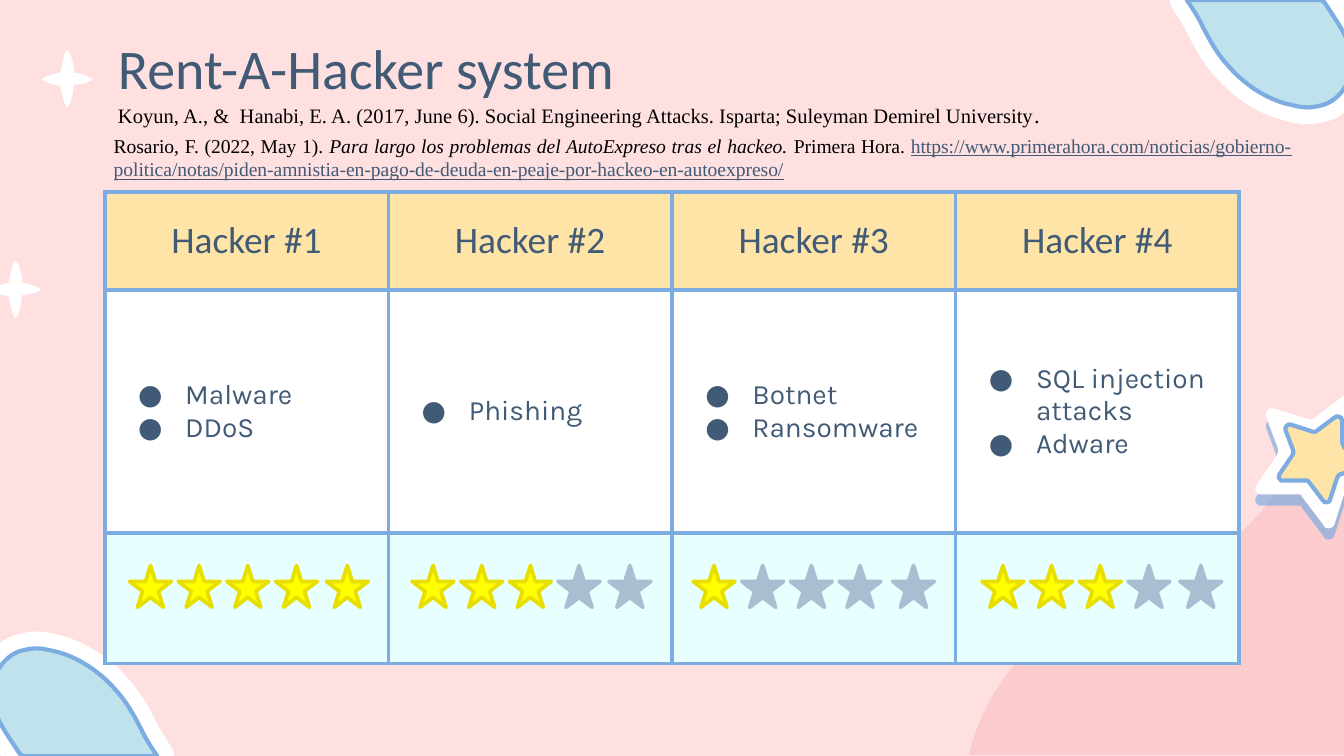
from dataclasses import dataclass
from typing import Callable

from lxml import etree
from pptx import Presentation
from pptx import util as u
from pptx.dml.color import RGBColor
from pptx.enum import shapes, text
from pptx.oxml import ns

Cm, Pt = u.Cm, u.Pt
INK, BLUE, WHITE, ICE, CREAM = "415A75", "7CACE1", "FFFFFF", "E7FFFF", "FEE4A7"
GOLD, GOLD_EDGE, GREY = "FFFF00", "E8DE00", "ABBDD0"
UNIT = 0.0254  # outline coordinates are hundredths of an inch, in cm
SLIDE_W, SLIDE_H = 1000, 562.5

# Outlines: a start point, then lines (2 numbers) and Bezier curves (6 numbers).
DROP = [(17, 562), (15, 561, 14, 560, 13, 558), (8, 550, 2, 542, -2, 533),
        (-6, 524, -7, 514, -4, 504), (-1, 495, 6, 487, 15, 484),
        (19, 483, 23, 482, 27, 482), (33, 482, 39, 484, 44, 485),
        (61, 490, 76, 501, 87, 514), (96, 524, 102, 536, 108, 548),
        (111, 553, 114, 558, 117, 562)]
HILL = [(721, 562), (730, 523, 754, 488, 787, 466), (827, 440, 877, 433, 914, 404),
        (944, 381, 962, 347, 984, 317), (989, 311, 994, 304, 1000, 298), (1000, 562)]
SOFT_STAR = [(1003, 295), (1002, 294, 1000, 294, 998, 296), (978, 311),
             (977, 312, 975, 313, 973, 312), (948, 304), (945, 303, 941, 306, 942, 310),
             (951, 334), (951, 336, 951, 338, 950, 339), (935, 361),
             (933, 363, 934, 367, 937, 368), (938, 368, 938, 368, 939, 368), (966, 368),
             (966, 368, 966, 368, 967, 368), (968, 368, 969, 369, 969, 370), (985, 391),
             (985, 392, 986, 393, 987, 393), (989, 394, 993, 392, 993, 390), (1001, 365),
             (1002, 363, 1003, 362, 1004, 361), (1029, 354),
             (1033, 352, 1034, 347, 1031, 345), (1009, 330),
             (1008, 328, 1007, 327, 1007, 325), (1007, 300), (1007, 297, 1005, 295, 1003, 295)]
SPARKLE = [(50, 38), (50, 38, 49, 38, 49, 38), (47, 43, 46, 49, 45, 54),
           (41, 55, 36, 56, 32, 58), (31, 58, 31, 60, 32, 60), (36, 62, 41, 63, 45, 64),
           (46, 69, 48, 79, 50, 80), (50, 80, 50, 80, 50, 80), (51, 80, 51, 80, 51, 79),
           (54, 75, 54, 69, 55, 63), (59, 63, 64, 62, 68, 60), (68, 60, 69, 60, 69, 59),
           (69, 59, 69, 58, 68, 58), (64, 56, 60, 55, 55, 54), (55, 49, 54, 43, 51, 38),
           (51, 38, 51, 38, 50, 38)]


@dataclass
class Hacker:
    name: str
    skills: list[str]
    rating: int
    first_star: float
    last_star: float


HACKERS = [Hacker("Hacker #1", ["Malware", "DDoS"], 5, 2.45, 6.17),
           Hacker("Hacker #2", ["Phishing"], 3, 7.79, 11.51),
           Hacker("Hacker #3", ["Botnet", "Ransomware"], 1, 13.1, 16.87),
           Hacker("Hacker #4", ["SQL injection attacks", "Adware"], 3, 18.56, 22.3)]


def rgb(value: str) -> RGBColor:
    return RGBColor.from_string(value)


def paint(shape, fill: str, line: str | None = None, width: float = 0) -> None:
    shape.shadow.inherit = False
    shape.fill.solid()
    shape.fill.fore_color.rgb = rgb(fill)
    if line:
        shape.line.color.rgb = rgb(line)
        shape.line.width = Pt(width)
    else:
        shape.line.fill.background()


def join_curves(shape, outline: list[tuple]) -> None:
    """Merge each three line steps that stand for a curve into one Bezier step."""
    steps = iter(list(shape._element.iter(ns.qn("a:lnTo"))))
    for segment in outline[1:]:
        first = next(steps)
        if len(segment) == 6:
            first.tag = ns.qn("a:cubicBezTo")
            for step in (next(steps), next(steps)):
                first.append(step[0])
                step.getparent().remove(step)


def draw_outline(slide, outline: list[tuple], fill: str, line: str | None = None,
                 width: float = 0, place: Callable = lambda x, y: (x, y)):
    """Draw a closed outline, with each point moved by place."""
    points = [tuple(Cm(v * UNIT) for v in place(*segment[i:i + 2]))
              for segment in outline for i in range(0, len(segment), 2)]
    builder = slide.shapes.build_freeform(*points[0])
    builder.add_line_segments(points[1:], close=True)
    shape = builder.convert_to_shape()
    join_curves(shape, outline)
    paint(shape, fill, line, width)
    return shape


def add_drop_shadow(shape) -> None:
    effects = shape._element.spPr.find(ns.qn("a:effectLst"))
    shadow = etree.SubElement(effects, ns.qn("a:outerShdw"), blurRad="0",
                              dist=str(Pt(6)), dir="5400000", rotWithShape="0")
    color = etree.SubElement(shadow, ns.qn("a:srgbClr"), val=BLUE)
    etree.SubElement(color, ns.qn("a:alpha"), val="67000")


def draw_background(slide) -> None:
    slide.background.fill.solid()
    slide.background.fill.fore_color.rgb = rgb("FFE0E1")
    for place in (lambda x, y: (x, y + 0.5), lambda x, y: (SLIDE_W - x, SLIDE_H - y - 0.5)):
        draw_outline(slide, DROP, ICE, WHITE, 18, place)
        draw_outline(slide, DROP, "BFE2EC", BLUE, 2.25, place)
    draw_outline(slide, HILL, "FCCBCD")
    add_drop_shadow(draw_outline(slide, SOFT_STAR, WHITE))
    draw_outline(slide, SOFT_STAR, CREAM, BLUE, 2.25,
                 lambda x, y: (983.5 + 0.65 * (x - 983.5), 342 + 0.65 * (y - 344)))
    draw_outline(slide, SPARKLE, WHITE, place=lambda x, y: (x - 38.5, y + 156.5))
    draw_outline(slide, SPARKLE, WHITE)


def add_run(paragraph, words: str, color: str, **font_format) -> None:
    run = paragraph.add_run()
    run.text = words
    run.font.color.rgb = rgb(color)
    for key, value in font_format.items():
        setattr(run.font, key, value)


def add_text(slide, left: float, top: float, width: float, height: float,
             runs: list[tuple[str, str, dict]], margin: float = 0.13, **paragraph_format) -> None:
    frame = slide.shapes.add_textbox(Cm(left), Cm(top), Cm(width), Cm(height)).text_frame
    frame.word_wrap = True
    frame.margin_top = frame.margin_bottom = Cm(margin)
    paragraph = frame.paragraphs[0]
    for key, value in paragraph_format.items():
        setattr(paragraph, key, value)
    for words, color, font_format in runs:
        add_run(paragraph, words, color, **font_format)


def add_bullet(paragraph) -> None:
    properties = paragraph._p.get_or_add_pPr()
    properties.set("marL", str(Cm(1.27)))
    properties.set("indent", str(Cm(-0.89)))
    color = etree.SubElement(properties, ns.qn("a:buClr"))
    etree.SubElement(color, ns.qn("a:srgbClr"), val=INK)
    etree.SubElement(properties, ns.qn("a:buFont"), typeface="Karla")
    etree.SubElement(properties, ns.qn("a:buChar"), char="●")


def format_cell(cell, fill: str) -> None:
    properties = cell._tc.get_or_add_tcPr()
    for side in "LRTB":
        border = etree.SubElement(properties, ns.qn(f"a:ln{side}"), w=str(Pt(2.25)))
        solid = etree.SubElement(border, ns.qn("a:solidFill"))
        etree.SubElement(solid, ns.qn("a:srgbClr"), val=BLUE)
    cell.fill.solid()
    cell.fill.fore_color.rgb = rgb(fill)
    cell.vertical_anchor = text.MSO_ANCHOR.MIDDLE
    for side in ("left", "right", "top", "bottom"):
        setattr(cell, f"margin_{side}", Cm(0.25))


def add_hacker_table(slide) -> None:
    table = slide.shapes.add_table(3, len(HACKERS), Cm(1.98), Cm(3.63), Cm(21.44), Cm(8.91)).table
    table.first_row = table.horz_banding = False
    for row, height, fill in zip(table.rows, (1.85, 4.6, 2.46), (CREAM, WHITE, ICE)):
        row.height = Cm(height)
        for cell in row.cells:
            format_cell(cell, fill)
    for column, hacker in enumerate(HACKERS):
        table.columns[column].width = Cm(5.36)
        heading = table.cell(0, column).text_frame.paragraphs[0]
        heading.alignment = text.PP_ALIGN.CENTER
        add_run(heading, hacker.name, INK, name="Calibri", size=Pt(20))
        frame = table.cell(1, column).text_frame
        for i, skill in enumerate(hacker.skills):
            paragraph = frame.add_paragraph() if i else frame.paragraphs[0]
            add_bullet(paragraph)
            add_run(paragraph, skill, INK, name="Karla", size=Pt(15))


def add_rating(slide, hacker: Hacker) -> None:
    lefts = [hacker.first_star + 0.92 * i for i in range(4)] + [hacker.last_star]
    for i, left in enumerate(lefts):
        star = slide.shapes.add_shape(shapes.MSO_SHAPE.STAR_5_POINT,
                                      Cm(left), Cm(10.69), Cm(0.79), Cm(0.79))
        paint(star, *((GOLD, GOLD_EDGE) if i < hacker.rating else (GREY, GREY)), 2)


def main() -> None:
    deck = Presentation()
    deck.slide_width, deck.slide_height = Cm(25.4), Cm(14.29)
    slide = deck.slides.add_slide(deck.slide_layouts[6])
    draw_background(slide)
    add_text(slide, 1.98, 0.38, 21.44, 1.6,
             [("Rent-A-Hacker system", INK, {"name": "Calibri", "size": Pt(30)})], margin=0.25)
    add_hacker_table(slide)
    for hacker in HACKERS:
        add_rating(slide, hacker)
    serif = {"name": "Times New Roman", "size": Pt(10.5)}
    add_text(slide, 1.98, 1.75, 21.84, 0.81, [
        ("Koyun, A., &  Hanabi, E. A. (2017, June 6). Social Engineering Attacks. Isparta; "
         "Suleyman Demirel University", "000000", serif | {"size": Pt(11)}),
        (".", "000000", serif | {"size": Pt(12)})], line_spacing=1.07, space_after=Pt(2))
    add_text(slide, 1.9, 2.4, 22.76, 1.14, [
        ("Rosario, F. (2022, May 1). ", "000000", serif),
        ("Para largo los problemas del AutoExpreso tras el hackeo.", "000000", serif | {"italic": True}),
        (" Primera Hora. ", "000000", serif),
        ("https://www.primerahora.com/noticias/gobierno-politica/notas/piden-amnistia-en-pago-de-"
         "deuda-en-peaje-por-hackeo-en-autoexpreso/", INK, serif | {"underline": True})],
        alignment=text.PP_ALIGN.JUSTIFY, space_after=Pt(8))
    deck.save("out.pptx")


if __name__ == "__main__":
    main()
